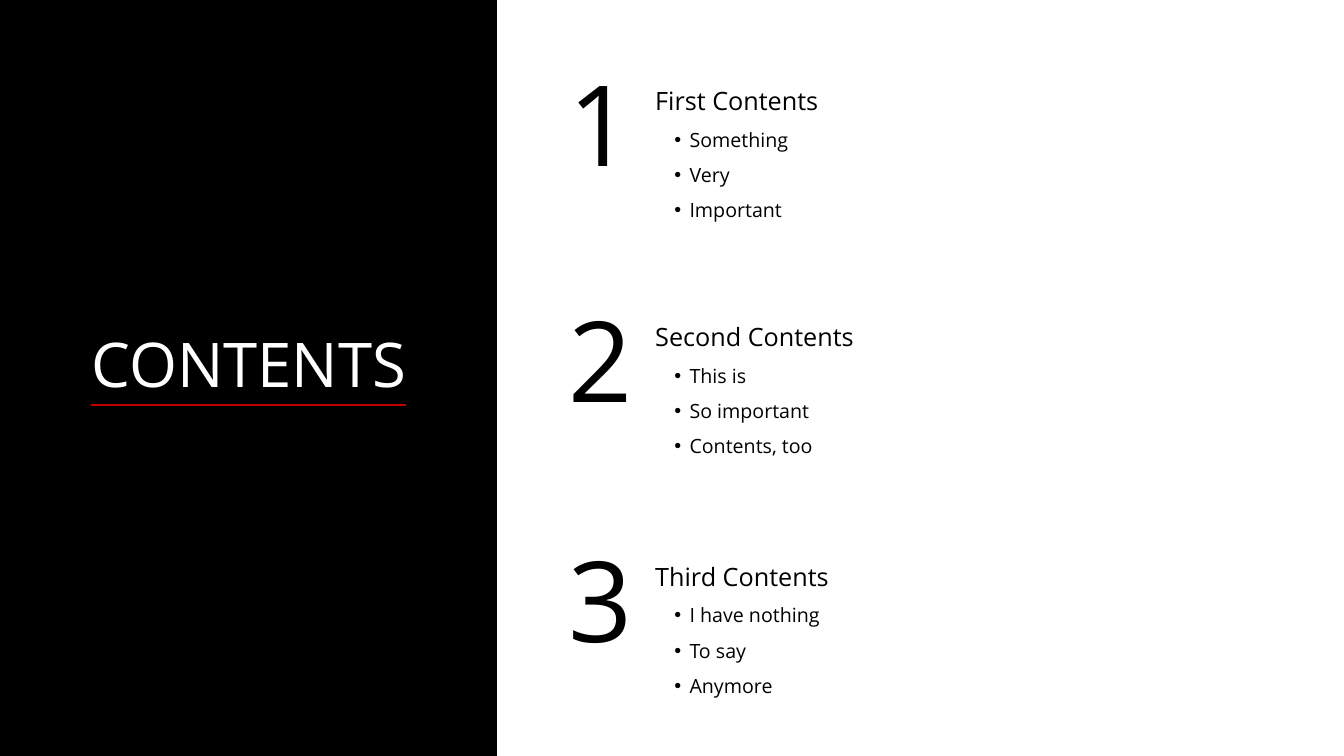
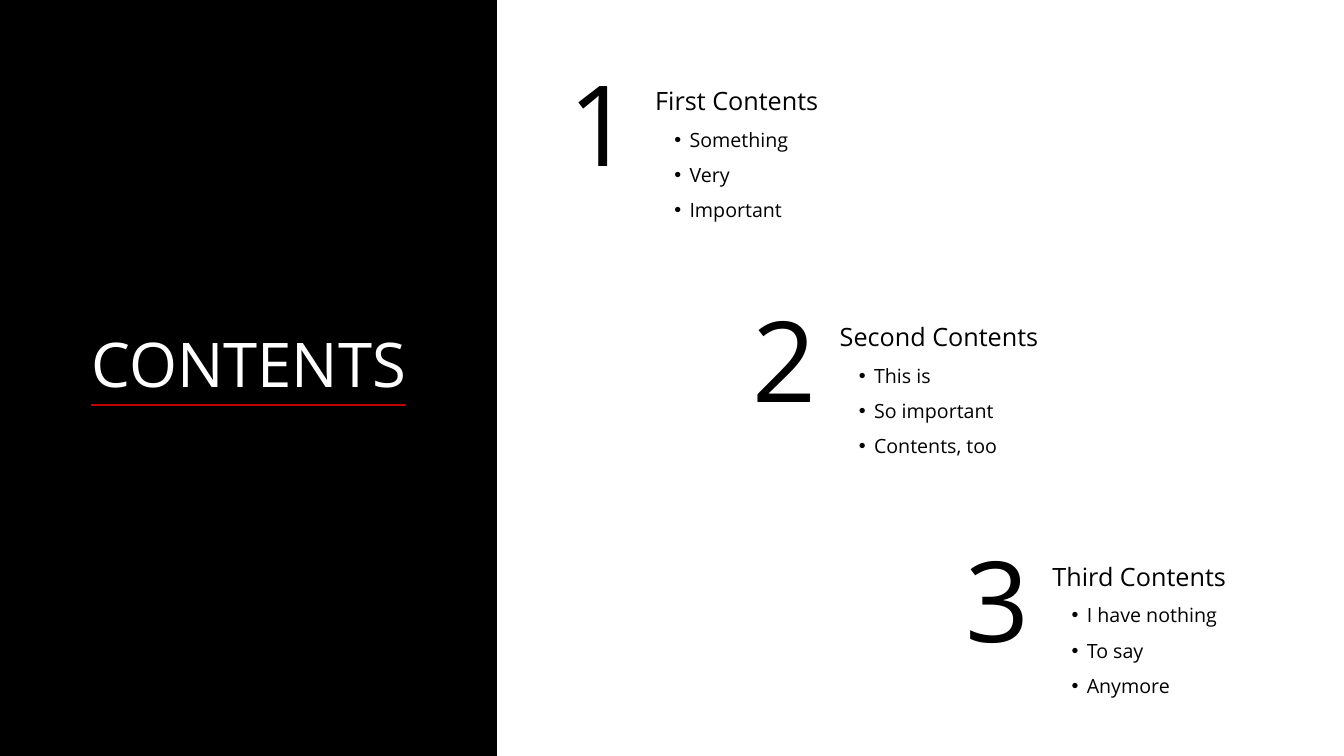
from lxml import etree
from pptx import Presentation
from pptx.dml.color import RGBColor
from pptx.enum.shapes import MSO_CONNECTOR, MSO_SHAPE
from pptx.enum.text import MSO_AUTO_SIZE, PP_ALIGN
from pptx.oxml.ns import qn
from pptx.util import Pt

PX = 9144  # EMU in one px, 100 px to the inch
RECT = MSO_SHAPE.RECTANGLE
STRAIGHT = MSO_CONNECTOR.STRAIGHT
GROW = MSO_AUTO_SIZE.SHAPE_TO_FIT_TEXT
LEFT, CENTER = PP_ALIGN.LEFT, PP_ALIGN.CENTER

FONT = "Open Sans"
COLORS = {"panel": "000000", "title": "FFFFFF", "rule": "C00000", "text": "000000"}

SECTIONS = [
    ("First Contents", ["Something", "Very", "Important"]),
    ("Second Contents", ["This is", "So important", "Contents, too"]),
    ("Third Contents", ["I have nothing", "To say", "Anymore"]),
]
TOPS = [49, 283, 521]
SLIDE_LEFTS = [[554, 554, 554], [554, 737, 948]]  # one row per slide
NUMBER_W, HEADING_DROP = 86, 16
BULLET_MARGIN, BULLET_HANG = 34, 15


def rgb(name):
    return RGBColor.from_string(COLORS[name])


def add_text(slide, box, lines, color="text", align=LEFT, spacing=None):
    """Add a text box; each line is (text, size in points, has a bullet)."""
    tf = slide.shapes.add_textbox(*[v * PX for v in box]).text_frame
    tf.word_wrap = True
    tf.auto_size = GROW
    for i, (text, size, bullet) in enumerate(lines):
        p = tf.add_paragraph() if i else tf.paragraphs[0]
        p.alignment = align
        p.line_spacing = spacing
        r = p.add_run()
        r.text = text
        r.font.size = Pt(size)
        r.font.name = FONT
        r.font.color.rgb = rgb(color)
        if bullet:
            pPr = p._p.get_or_add_pPr()
            pPr.set("marL", str(BULLET_MARGIN * PX))
            pPr.set("indent", str(-BULLET_HANG * PX))
            etree.SubElement(pPr, qn("a:buFont")).set("typeface", "Arial")
            etree.SubElement(pPr, qn("a:buChar")).set("char", "•")


prs = Presentation()
prs.slide_width, prs.slide_height = 1333 * PX, 750 * PX
blank = prs.slide_layouts[6]

for lefts in SLIDE_LEFTS:
    s = prs.slides.add_slide(blank)

    panel = s.shapes.add_shape(RECT, 0, 0, 493 * PX, prs.slide_height)
    panel.shadow.inherit = False
    panel.fill.solid()
    panel.fill.fore_color.rgb = rgb("panel")
    panel.line.fill.background()

    add_text(s, (70, 318, 354, 84), [("CONTENTS", 44, False)], "title", CENTER)

    rule = s.shapes.add_connector(STRAIGHT, 90 * PX, 402 * PX, 403 * PX, 402 * PX)
    rule.line.color.rgb = rgb("rule")
    rule.line.width = Pt(1.5)
    etree.SubElement(rule._element.spPr, qn("a:effectLst"))

    for number, (left, top, (heading, items)) in enumerate(zip(lefts, TOPS, SECTIONS), 1):
        add_text(s, (left, top, NUMBER_W, 145), [(str(number), 80, False)])
        lines = [(heading, 18, False)] + [(item, 14, True) for item in items]
        add_text(s, (left + NUMBER_W, top + HEADING_DROP, 225, 162), lines, spacing=1.5)

prs.save("out.pptx")
